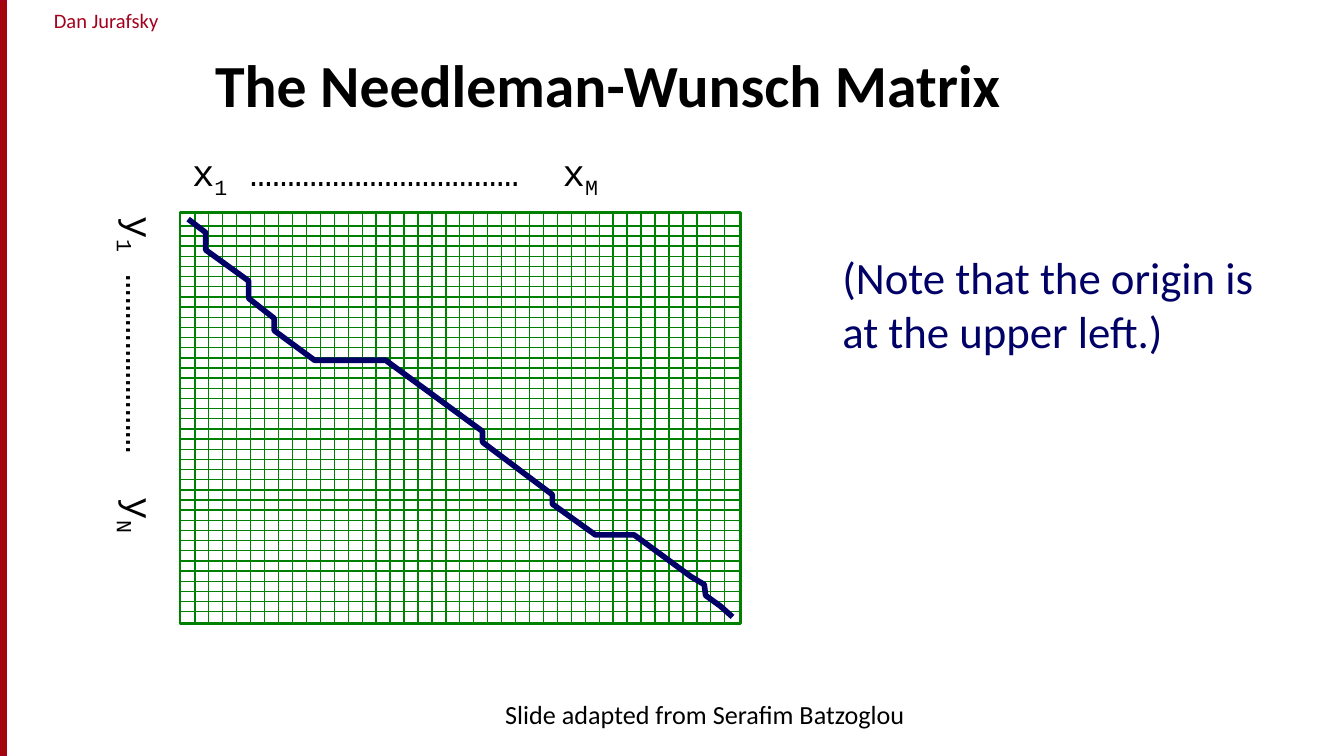
from dataclasses import dataclass

from lxml.etree import SubElement
from pptx import Presentation
from pptx.dml.color import RGBColor
from pptx.enum.shapes import MSO_CONNECTOR as Connector, MSO_SHAPE as ShapeKind
from pptx.enum.text import MSO_ANCHOR as Anchor, MSO_AUTO_SIZE as AutoSize, PP_ALIGN as Align
from pptx.oxml.ns import qn
from pptx.util import Pt


@dataclass(frozen=True)
class Theme:
    black: RGBColor = RGBColor(0x00, 0x00, 0x00)
    navy: RGBColor = RGBColor(0x00, 0x00, 0x66)
    green: RGBColor = RGBColor(0x00, 0x80, 0x00)
    red: RGBColor = RGBColor(0xA4, 0x00, 0x1D)
    bar: RGBColor = RGBColor(0xA4, 0x05, 0x08)
    body_font: str = "Calibri"
    sequence_font: str = "Courier New"
    title_size: float = 32
    note_size: float = 24
    sequence_size: float = 20
    credit_size: float = 14
    author_size: float = 11


@dataclass(frozen=True)
class Box:
    left: float
    top: float
    width: float
    height: float

    @property
    def right(self) -> float:
        return self.left + self.width

    @property
    def bottom(self) -> float:
        return self.top + self.height

    def lengths(self) -> tuple:
        return Pt(self.left), Pt(self.top), Pt(self.width), Pt(self.height)


@dataclass(frozen=True)
class Caption:
    text: str
    box: Box
    size: float
    color: RGBColor
    align: Align = Align.LEFT
    side_inset: float = 7.2


@dataclass(frozen=True)
class SequenceLabel:
    letter: str
    last_index: str
    dots: str
    box: Box
    last_offset: float
    rotation: float = 0


THEME = Theme()
MATRIX = Box(96.5, 113.8, 300.2, 220.3)
LINES_PER_SIDE = 39
FIRST_ROW, ROW_STEP = 121, 5.44
FIRST_COLUMN, COLUMN_STEP = 104.4, 7.47

ALIGNMENT_PATH = [
    (100.8, 117.4), (110.2, 124.6), (110.2, 133.9), (133.2, 150.5), (133.2, 159.8),
    (146.9, 170.6), (146.9, 177.1), (168.5, 193), (206.6, 193), (258.5, 231.1),
    (258.5, 236.9), (295.9, 265), (295.9, 270), (319, 286.6), (339.8, 286.6),
    (370.1, 308.9), (377.3, 313.2), (378, 319), (385.9, 324.7), (392.4, 330.5),
]

CAPTIONS = [
    Caption("Dan Jurafsky", Box(5.8, 0.7, 102.2, 20.9), THEME.author_size, THEME.red,
            Align.CENTER, 0),
    Caption("Slide adapted from Serafim Batzoglou", Box(239.8, 370.8, 275.8, 27.4),
            THEME.credit_size, THEME.black, Align.CENTER),
    Caption("(Note that the origin is at the upper left.)", Box(444.2, 130.3, 252, 65.5),
            THEME.note_size, THEME.navy),
]

SEQUENCE_LABELS = [
    SequenceLabel("x", "M", "………………………………", Box(95.8, 76.3, 312.5, 31.7), 198.6),
    SequenceLabel("y", "N", "……………………", Box(-40.3, 208.8, 231.1, 31.7), 150.5, 90),
]


def add_text(paragraph, text: str, *, size: float, color: RGBColor = THEME.black,
             font: str = THEME.body_font, bold: bool = False, subscript: bool = False) -> None:
    run = paragraph.add_run()
    run.text = text
    run.font.size = Pt(size)
    run.font.name = font
    run.font.bold = bold
    run.font.color.rgb = color
    if subscript:
        run._r.get_or_add_rPr().set("baseline", "-25000")


def add_text_frame(slide, box: Box, rotation: float = 0):
    shape = slide.shapes.add_textbox(*box.lengths())
    shape.rotation = rotation
    shape.text_frame.word_wrap = True
    return shape.text_frame


def add_caption(slide, caption: Caption) -> None:
    frame = add_text_frame(slide, caption.box)
    frame.margin_left = frame.margin_right = Pt(caption.side_inset)
    paragraph = frame.paragraphs[0]
    paragraph.alignment = caption.align
    add_text(paragraph, caption.text, size=caption.size, color=caption.color)


def add_sequence_label(slide, label: SequenceLabel) -> None:
    paragraph = add_text_frame(slide, label.box, label.rotation).paragraphs[0]
    tab_list = SubElement(paragraph._p.get_or_add_pPr(), qn("a:tabLst"))
    SubElement(tab_list, qn("a:tab"), pos=str(Pt(label.last_offset)), algn="l")
    pieces = [(label.letter, False), ("1", True),
              (f" {label.dots}\t{label.letter}", False), (label.last_index, True)]
    for text, subscript in pieces:
        add_text(paragraph, text, size=THEME.sequence_size, font=THEME.sequence_font,
                 subscript=subscript)


def add_title(slide, text: str, box: Box) -> None:
    title = slide.shapes.title
    title.left, title.top, title.width, title.height = box.lengths()
    frame = title.text_frame
    frame.auto_size = AutoSize.NONE
    frame.vertical_anchor = Anchor.BOTTOM
    paragraph = frame.paragraphs[0]
    paragraph.alignment = Align.LEFT
    add_text(paragraph, text, size=THEME.title_size, bold=True)


def set_outline(shape, color: RGBColor, width: float) -> None:
    shape.line.color.rgb = color
    shape.line.width = Pt(width)


def add_rectangle(slide, box: Box, line: RGBColor, width: float,
                  fill: RGBColor | None = None) -> None:
    shape = slide.shapes.add_shape(ShapeKind.RECTANGLE, *box.lengths())
    shape.shadow.inherit = False
    if fill is None:
        shape.fill.background()
    else:
        shape.fill.solid()
        shape.fill.fore_color.rgb = fill
    set_outline(shape, line, width)


def add_grid_line(slide, x1: float, y1: float, x2: float, y2: float) -> None:
    line = slide.shapes.add_connector(Connector.STRAIGHT, Pt(x1), Pt(y1), Pt(x2), Pt(y2))
    set_outline(line, THEME.green, 0.75)
    SubElement(line._element.spPr, qn("a:effectLst"))


def add_matrix(slide) -> None:
    add_rectangle(slide, MATRIX, THEME.green, 1.5)
    for index in range(LINES_PER_SIDE):
        y = FIRST_ROW + index * ROW_STEP
        add_grid_line(slide, MATRIX.left, y, MATRIX.right, y)
    for index in range(LINES_PER_SIDE):
        x = FIRST_COLUMN + index * COLUMN_STEP
        add_grid_line(slide, x, MATRIX.top, x, MATRIX.bottom)


def add_alignment_path(slide, points: list[tuple[float, float]]) -> None:
    start, *rest = [(Pt(x), Pt(y)) for x, y in points]
    builder = slide.shapes.build_freeform(*start)
    builder.add_line_segments(rest, close=False)
    shape = builder.convert_to_shape()
    shape.shadow.inherit = False
    shape.fill.background()
    set_outline(shape, THEME.navy, 3)


def main() -> None:
    presentation = Presentation()
    presentation.slide_width, presentation.slide_height = Pt(720), Pt(405)
    slide = presentation.slides.add_slide(presentation.slide_layouts[5])
    add_rectangle(slide, Box(0, 0, 3.6, 405), THEME.red, 0.75, THEME.bar)
    add_title(slide, "The Needleman-Wunsch Matrix", Box(108, 0, 612, 67.7))
    add_matrix(slide)
    add_alignment_path(slide, ALIGNMENT_PATH)
    for label in SEQUENCE_LABELS:
        add_sequence_label(slide, label)
    for caption in CAPTIONS:
        add_caption(slide, caption)
    presentation.save("out.pptx")


if __name__ == "__main__":
    main()
